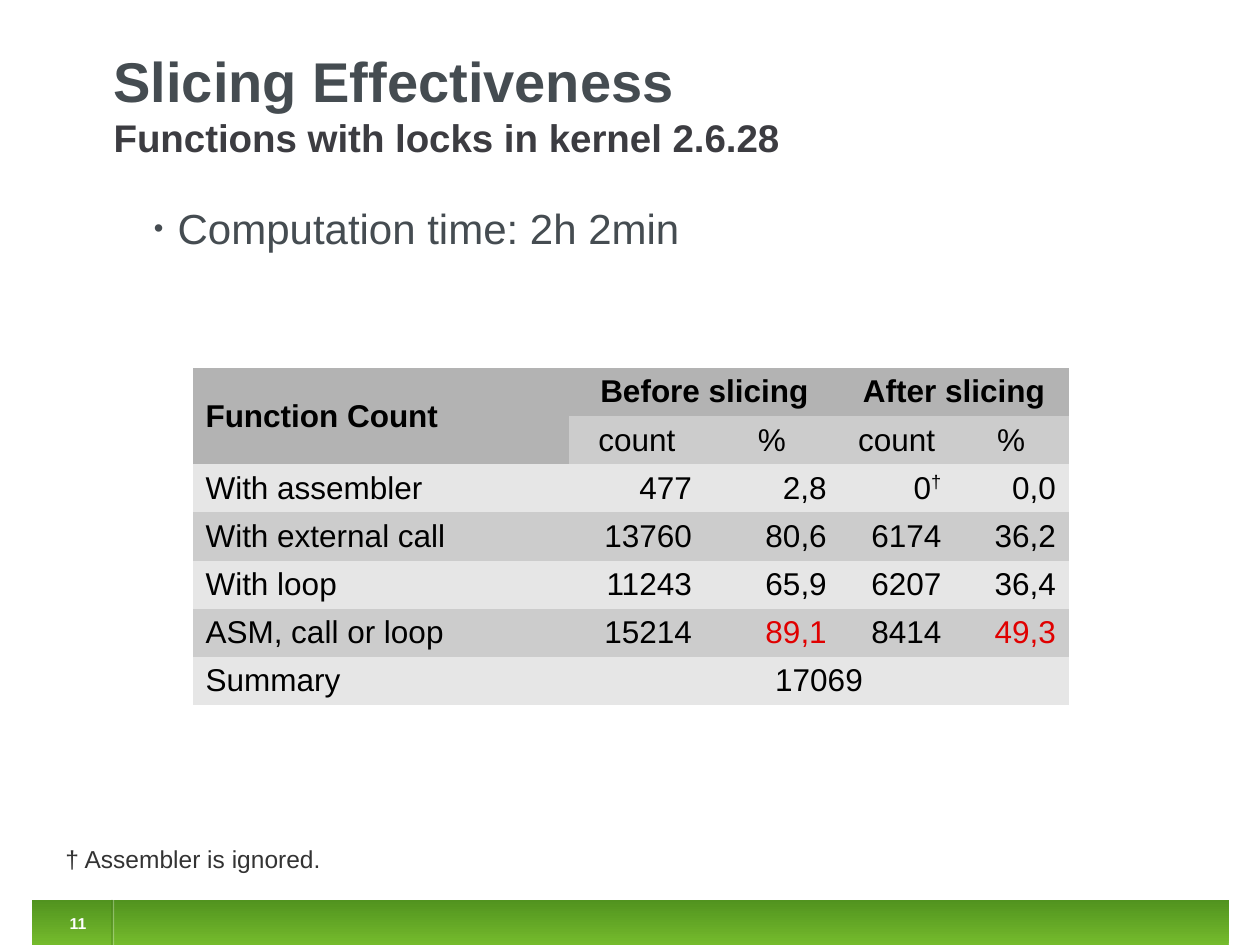
"""Build the slide on slicing effectiveness."""
import dataclasses
import typing

import lxml.etree
import pptx
import pptx.dml.color
import pptx.enum.shapes
import pptx.enum.text
import pptx.oxml.ns
import pptx.util

Cm = pptx.util.Cm
Pt = pptx.util.Pt
Align = pptx.enum.text.PP_ALIGN
Anchor = pptx.enum.text.MSO_ANCHOR
qn = pptx.oxml.ns.qn


@dataclasses.dataclass(frozen=True)
class Theme:
    """Hold the colours and type sizes."""
    face: str = "Arial"
    slate: str = "454C51"
    dark: str = "3C3C41"
    note: str = "333333"
    black: str = "000000"
    white: str = "FFFFFF"
    red: str = "E00000"
    lime: str = "77BD2D"
    leaf: str = "51931F"
    moss: str = "3F7418"
    head: str = "B3B3B3"
    mid: str = "CCCCCC"
    pale: str = "E6E6E6"
    title: float = 32
    sub: float = 22
    body: float = 24
    grid: float = 18
    small: float = 14
    page: float = 9


@dataclasses.dataclass(frozen=True)
class Cell:
    """Describe one table cell."""
    row: int
    col: int
    text: str
    fill: str
    align: Align = Align.RIGHT
    down: int = 1
    wide: int = 1
    bold: bool = False
    color: str = "000000"
    mark: str = ""


class Rule(typing.NamedTuple):
    """Describe one upright line in the footer."""
    left: float
    color: str
    alpha: int


THEME = Theme()
RULES = [Rule(2.29, THEME.white, 31000), Rule(2.26, THEME.moss, 48000)]
WIDTHS = [7.59, 2.72, 2.72, 2.31, 2.31]
TALL = 0.97
DATA = [
    ("With assembler", "477", "2,8", "0", "0,0"),
    ("With external call", "13760", "80,6", "6174", "36,2"),
    ("With loop", "11243", "65,9", "6207", "36,4"),
    ("ASM, call or loop", "15214", "89,1", "8414", "49,3"),
]


def tint(text: str) -> pptx.dml.color.RGBColor:
    """Turn a hex string into a colour."""
    return pptx.dml.color.RGBColor.from_string(text)


def style(font: typing.Any, size: float, color: str, bold: bool = False) -> None:
    """Set face, size, colour and weight of a font."""
    font.name = THEME.face
    font.size = Pt(size)
    font.color.rgb = tint(color)
    font.bold = bold


def place(shape: typing.Any, left: float, top: float, width: float, height: float) -> None:
    """Move and size a shape, given in centimetres."""
    shape.left, shape.top = Cm(left), Cm(top)
    shape.width, shape.height = Cm(width), Cm(height)


def frame(shape: typing.Any, anchor: Anchor, wrap: bool = True, pad: bool = False) -> typing.Any:
    """Set up the text frame of a shape and return its first paragraph."""
    text = shape.text_frame
    text.auto_size = pptx.enum.text.MSO_AUTO_SIZE.NONE
    text.word_wrap = wrap
    text.vertical_anchor = anchor
    if not pad:
        text.margin_left = text.margin_right = text.margin_top = text.margin_bottom = 0
    return text.paragraphs[0]


def draw_title(shape: typing.Any) -> None:
    """Fill the title with its two lines."""
    place(shape, 2.29, 0.71, 20.93, 2.74)
    para = frame(shape, Anchor.MIDDLE)
    para.alignment = Align.LEFT
    run = para.add_run()
    run.text = "Slicing Effectiveness"
    style(run.font, THEME.title, THEME.slate, True)
    para.add_line_break()
    run = para.add_run()
    run.text = "Functions with locks in kernel 2.6.28"
    style(run.font, THEME.sub, THEME.dark, True)


def draw_body(shape: typing.Any) -> None:
    """Fill the body with its bullet."""
    place(shape, 2.36, 4.09, 20.93, 12.57)
    para = frame(shape, Anchor.TOP)
    para.text = "Computation time: 2h 2min"
    para.space_before, para.space_after = Pt(0), Pt(11.5)
    props = para._p.get_or_add_pPr()
    props.set("marL", str(Cm(1.22)))
    props.set("indent", str(Cm(-0.48)))
    hue = lxml.etree.SubElement(props, qn("a:buClr"))
    lxml.etree.SubElement(hue, qn("a:srgbClr"), val=THEME.slate)
    lxml.etree.SubElement(props, qn("a:buSzPct"), val="65000")
    lxml.etree.SubElement(props, qn("a:buFont"), typeface=THEME.face)
    lxml.etree.SubElement(props, qn("a:buChar"), char="•")
    style(para.font, THEME.body, THEME.slate)


def draw_bar(shapes: typing.Any) -> None:
    """Draw the green footer bar."""
    bar = shapes.add_shape(pptx.enum.shapes.MSO_SHAPE.RECTANGLE, 0, 0, 0, 0)
    place(bar, 0.64, 18.14, 24.13, 0.96)
    bar.shadow.inherit = False
    bar.line.fill.background()
    bar.fill.gradient()
    bar.fill.gradient_angle = 90
    for stop, color in zip(bar.fill.gradient_stops, (THEME.lime, THEME.leaf)):
        stop.color.rgb = tint(color)


def draw_rule(shapes: typing.Any, rule: Rule) -> None:
    """Draw one sheer line across the footer bar."""
    line = shapes.add_connector(pptx.enum.shapes.MSO_CONNECTOR.STRAIGHT,
                                Cm(rule.left), Cm(18.14), Cm(rule.left), Cm(19.1))
    line.line.width = Pt(0.75)
    line.line.color.rgb = tint(rule.color)
    props = line._element.spPr
    hue = next(props.iter(qn("a:srgbClr")))
    lxml.etree.SubElement(hue, qn("a:alpha"), val=str(rule.alpha))
    lxml.etree.SubElement(props, qn("a:effectLst"))


def list_cells() -> list[Cell]:
    """List the cells of the table."""
    cells = [Cell(0, 0, "Function Count", THEME.head, Align.LEFT, down=2, bold=True)]
    for col, text in ((1, "Before slicing"), (3, "After slicing")):
        cells.append(Cell(0, col, text, THEME.head, Align.CENTER, wide=2, bold=True))
        for step, name in enumerate(("count", "%")):
            cells.append(Cell(1, col + step, name, THEME.mid, Align.CENTER))
    for row, texts in enumerate(DATA, 2):
        fill = THEME.mid if row % 2 else THEME.pale
        for col, text in enumerate(texts):
            cells.append(Cell(row, col, text, fill, Align.RIGHT if col else Align.LEFT,
                              color=THEME.red if row == 5 and col in (2, 4) else THEME.black,
                              mark="†" if (row, col) == (2, 3) else ""))
    cells.append(Cell(6, 0, "Summary", THEME.pale, Align.LEFT))
    cells.append(Cell(6, 1, "17069", THEME.pale, Align.CENTER, wide=4))
    return cells


def draw_cell(table: typing.Any, item: Cell) -> None:
    """Fill one cell, merged where it spans more."""
    cell = table.cell(item.row, item.col)
    if item.down * item.wide > 1:
        cell.merge(table.cell(item.row + item.down - 1, item.col + item.wide - 1))
    cell.fill.solid()
    cell.fill.fore_color.rgb = tint(item.fill)
    cell.vertical_anchor = Anchor.MIDDLE if item.down > 1 else Anchor.TOP
    para = cell.text_frame.paragraphs[0]
    para.text = item.text
    para.alignment = item.align
    style(para.font, THEME.grid, item.color, item.bold)
    if item.mark:
        run = para.add_run()
        run.text = item.mark
        run.font._element.set("baseline", "33000")


def draw_table(shapes: typing.Any) -> None:
    """Draw the table of function counts."""
    table = shapes.add_table(7, 5, Cm(3.89), Cm(7.42), Cm(sum(WIDTHS)), Cm(7 * TALL)).table
    table.first_row = table.horz_banding = False
    plain = "{2D5ABB26-0587-4C30-8999-92F81FD0307C}"
    table._tbl.tblPr.find(qn("a:tableStyleId")).text = plain
    for column, width in zip(table.columns, WIDTHS):
        column.width = Cm(width)
    for row in table.rows:
        row.height = Cm(TALL)
    for item in list_cells():
        draw_cell(table, item)


def main() -> None:
    """Build and save the slide."""
    deck = pptx.Presentation()
    deck.slide_width, deck.slide_height = Cm(25.4), Cm(19.05)
    slide = deck.slides.add_slide(deck.slide_layouts[1])
    shapes = slide.shapes
    draw_bar(shapes)
    for rule in RULES:
        draw_rule(shapes, rule)
    page = shapes.add_textbox(Cm(1.17), Cm(18.24), Cm(0.81), Cm(0.76))
    para = frame(page, Anchor.MIDDLE, wrap=False)
    para.text, para.alignment = "11", Align.CENTER
    style(para.font, THEME.page, THEME.white, True)
    draw_title(shapes.title)
    draw_body(slide.placeholders[1])
    draw_table(shapes)
    note = shapes.add_textbox(Cm(1.07), Cm(16.89), Cm(5.69), Cm(0.81))
    para = frame(note, Anchor.TOP, wrap=False, pad=True)
    para.text = "† Assembler is ignored."
    style(para.font, THEME.small, THEME.note)
    deck.save("out.pptx")


if __name__ == "__main__":
    main()
